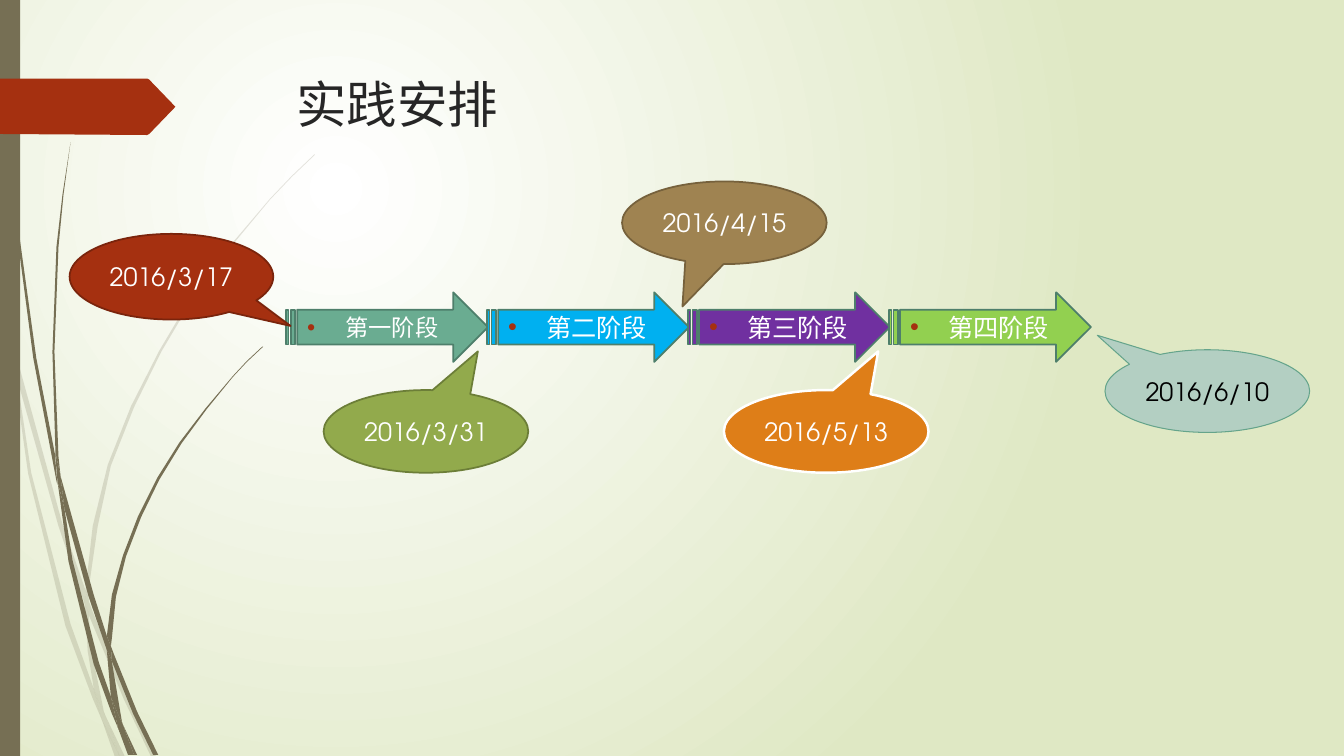
from lxml import etree
from pptx import Presentation
from pptx.dml.color import RGBColor
from pptx.enum.shapes import MSO_SHAPE
from pptx.enum.text import MSO_ANCHOR, MSO_AUTO_SIZE, PP_ALIGN
from pptx.oxml.ns import qn
from pptx.util import Inches, Pt

RECTANGLE = MSO_SHAPE.RECTANGLE
STRIPED_ARROW = MSO_SHAPE.STRIPED_RIGHT_ARROW
CALLOUT = MSO_SHAPE.OVAL_CALLOUT
TOP, MIDDLE = MSO_ANCHOR.TOP, MSO_ANCHOR.MIDDLE
LEFT, CENTER = PP_ALIGN.LEFT, PP_ALIGN.CENTER
NO_FIT = MSO_AUTO_SIZE.NONE
FONT = "TeX Gyre Adventor"

COLORS = {
    "white": "FFFFFF", "black": "000000", "title": "262626",
    "backdrop": "DFE8C4", "stem": "766F54", "red": "A53010",
    "teal": "6AAC91", "teal_edge": "4E7F6B", "blue": "00B0F0",
    "purple": "7030A0", "lime": "92D050", "red_edge": "7A240C",
    "olive": "92AA4C", "olive_edge": "6C7E38", "tan": "9F8351",
    "tan_edge": "76613C", "orange": "DE7E18", "mist": "B3CFC2",
    "mist_edge": "65A48B",
}

PALE_STEMS = [
    [(.11, 3.5), (.09, 3.22), (0, 2.82), (0, 2.99), (.1, 3.44)],
    [(.58, 5.22), (.84, 5.99), (.85, 5.86), (.62, 5.2), (.14, 3.45), (.17, 3.76)],
    [(.92, 6.07), (.88, 5.96), (.88, 6.1), (1.23, 6.94), (1.5, 7.51), (1.55, 7.51),
     (1.27, 6.92)],
    [(1.19, 7.51), (1.24, 7.51), (1.05, 7.11)],
    [(.93, 6.83), (.7, 6.19), (.31, 4.69), (.17, 3.76), (.11, 3.5), (.28, 4.7),
     (.65, 6.21), (.92, 6.93), (1.01, 7.14), (.99, 7.07)],
    [(.84, 5.99), (.87, 6.46), (.93, 6.83), (.96, 6.92), (1.05, 7.11), (1.03, 7.06),
     (.91, 6.46), (.88, 6.1), (.88, 6.08)],
    [(.88, 5.84), (.97, 5.22), (1.1, 4.62), (1.33, 4.04), (1.6, 3.49), (1.92, 2.95),
     (2.29, 2.45), (2.68, 1.98), (2.9, 1.75), (3.12, 1.54), (3.12, 1.53), (2.89, 1.75),
     (2.68, 1.97), (2.28, 2.44), (1.9, 2.94), (1.58, 3.48), (1.3, 4.03), (1.07, 4.61),
     (.92, 5.22), (.85, 5.84), (.85, 5.86), (.88, 5.96)],
    [(1.01, 7.14), (1.14, 7.51), (1.19, 7.51)],
    [(.88, 6.08), (.88, 6.1), (.88, 5.96), (.85, 5.86), (.84, 5.99)],
    [(.96, 6.92), (.93, 6.83), (.99, 7.07), (1.01, 7.14), (1.19, 7.51), (1.05, 7.11)],
]
DARK_STEMS = [
    [(.07, 1.1), (.17, 2.33), (.33, 3.55), (.56, 4.77), (.57, 4.81), (.55, 4.57),
     (.55, 4.53), (.36, 3.55), (.19, 2.32), (.08, 1.09), (.05, .48), (.04, 0),
     (.03, 0), (.04, .48)],
    [(.88, 5.92), (1.06, 6.45), (1.06, 6.33), (1.06, 6.31), (.93, 5.9), (.6, 4.72),
     (.64, 5.05)],
    [(1.13, 6.49), (1.1, 6.41), (1.11, 6.56), (1.32, 7.08), (1.52, 7.49), (1.57, 7.49),
     (1.36, 7.06)],
    [(1.1, 6.91), (.98, 6.57), (.72, 5.56), (.64, 5.05), (.57, 4.77), (.68, 5.57),
     (.93, 6.59), (1.11, 7.08), (1.17, 7.22), (1.16, 7.17)],
    [(.6, 4.72), (.58, 4.53), (.54, 3.49), (.58, 2.45), (.63, 1.93), (.7, 1.41),
     (.62, 1.93), (.56, 2.45), (.52, 3.49), (.55, 4.49)],
    [(1.33, 7.49), (1.36, 7.49), (1.22, 7.19)],
    [(.57, 4.77), (.64, 5.05), (.6, 4.72), (.55, 4.49), (.55, 4.53)],
    [(1.11, 6.33), (1.15, 5.92), (1.25, 5.52), (1.4, 5.13), (1.58, 4.76), (1.8, 4.4),
     (2.05, 4.06), (2.31, 3.74), (2.45, 3.59), (2.61, 3.44), (2.6, 3.44), (2.45, 3.58),
     (2.31, 3.73), (2.04, 4.05), (1.78, 4.39), (1.56, 4.74), (1.37, 5.12), (1.22, 5.51),
     (1.11, 5.9), (1.06, 6.31), (1.1, 6.41)],
    [(1.17, 7.22), (1.27, 7.49), (1.31, 7.49)],
    [(1.06, 6.45), (1.1, 6.91), (1.16, 7.06), (1.22, 7.19), (1.21, 7.16), (1.11, 6.56),
     (1.09, 6.51)],
    [(1.06, 6.45), (1.09, 6.51), (1.11, 6.56), (1.1, 6.41), (1.06, 6.31), (1.06, 6.33)],
    [(1.16, 7.06), (1.1, 6.91), (1.16, 7.17), (1.17, 7.22), (1.3, 7.49), (1.33, 7.49),
     (1.22, 7.19)],
]
RIBBON = [(0, 0), (1.46, 0), (1.48, .01), (1.74, .28), (1.48, .55), (1.46, .56), (0, .55)]

STAGES = [("第一阶段", "teal", 16.6), ("第二阶段", "blue", 18),
          ("第三阶段", "purple", 18), ("第四阶段", "lime", 18)]
DATES = [
    ("2016/3/17", (.69, 2.32, 2.02, .85), (.585, .575), "red", "red_edge", 1.25, "white"),
    ("2016/3/31", (3.21, 3.87, 2.03, .82), (.254, -.969), "olive", "olive_edge", 1.25, "white"),
    ("2016/4/15", (6.17, 1.8, 2.03, .82), (-.205, 1.013), "tan", "tan_edge", 1.25, "white"),
    ("2016/5/13", (7.18, 3.87, 2.03, .82), (.254, -.969), "orange", "white", 1.75, "white"),
    ("2016/6/10", (10.96, 3.47, 2.03, .82), (-.538, -.676), "mist", "mist_edge", .75, "black"),
]


def color(name):
    return RGBColor.from_string(COLORS[name])


def apply_format(target, values):
    for name, value in values.items():
        setattr(target, name, value)


def place(shape, box):
    names = ("left", "top", "width", "height")
    apply_format(shape, {name: Inches(value) for name, value in zip(names, box)})


def paint(shape, fill, edge=None, weight=0):
    shape.fill.solid()
    shape.fill.fore_color.rgb = color(fill)
    if edge:
        shape.line.color.rgb = color(edge)
        shape.line.width = Pt(weight)
    else:
        shape.line.fill.background()


def write(shape, text, size, ink, frame_format, paragraph_format):
    apply_format(shape.text_frame, {"auto_size": NO_FIT, **frame_format})
    paragraph = shape.text_frame.paragraphs[0]
    apply_format(paragraph, paragraph_format)
    run = paragraph.add_run()
    run.text = text
    apply_format(run.font, {"name": FONT, "size": Pt(size)})
    run.font.color.rgb = color(ink)
    return paragraph


def add_outline(slide, box, points, fill, alpha=None):
    corners = [(Inches(box[0] + x), Inches(box[1] + y)) for x, y in points]
    builder = slide.shapes.build_freeform(*corners[0])
    builder.add_line_segments(corners[1:], close=True)
    shape = builder.convert_to_shape()
    shape.shadow.inherit = False
    paint(shape, fill)
    if alpha:
        tint = shape.element.spPr.find(qn("a:solidFill"))[0]
        etree.SubElement(tint, qn("a:alpha"), val=str(alpha * 1000))


def draw_background(slide):
    fill = slide.background.fill
    fill.gradient()
    for stop, position, name in zip(fill.gradient_stops, (0, 1), ("white", "backdrop")):
        stop.position = position
        stop.color.rgb = color(name)
    gradient = slide.element.find(".//" + qn("a:gradFill"))
    gradient.remove(gradient.find(qn("a:lin")))
    circle = etree.SubElement(gradient, qn("a:path"), attrib={"path": "circle"})
    etree.SubElement(circle, qn("a:fillToRect"), l="50000", t="50000", r="100000", b="100000")


def draw_side_decoration(slide, box):
    for stems, alpha in ((PALE_STEMS, 20), (DARK_STEMS, None)):
        for points in stems:
            add_outline(slide, box, points, "stem", alpha)
    bar = slide.shapes.add_shape(RECTANGLE, *map(Inches, (box[0], box[1], .2, box[3])))
    bar.shadow.inherit = False
    paint(bar, "stem")
    add_outline(slide, (box[0], box[1] + .78), RIBBON, "red")


def draw_title(slide, box):
    title = slide.shapes.title
    slide.shapes.element.append(title.element)
    place(title, box)
    write(title, "实践安排", 36, "title", {"vertical_anchor": TOP}, {"alignment": LEFT})


def draw_stages(slide, box):
    body = slide.placeholders[1]
    slide.shapes.element.append(body.element)
    width = 2
    pitch = (box[2] - width) / (len(STAGES) - 1)
    for index, (text, fill, size) in enumerate(STAGES):
        arrow_box = (box[0] + index * pitch, box[1], width, box[3])
        if index == 0:
            arrow = body
            place(arrow, arrow_box)
            geometry = etree.SubElement(arrow.element.spPr, qn("a:prstGeom"), prst="stripedRightArrow")
            etree.SubElement(geometry, qn("a:avLst"))
        else:
            arrow = slide.shapes.add_shape(STRIPED_ARROW, *map(Inches, arrow_box))
            arrow.shadow.inherit = False
        paint(arrow, fill, "teal_edge", 1.25)
        paragraph = write(arrow, text, size, "white", {"vertical_anchor": MIDDLE},
                          {"alignment": LEFT, "space_before": Pt(10)})
        properties = paragraph._p.get_or_add_pPr()
        properties.set("marL", str(Inches(.38)))
        properties.set("indent", str(-Inches(.38)))
        bullet_color = etree.SubElement(properties, qn("a:buClr"))
        etree.SubElement(bullet_color, qn("a:srgbClr"), val=COLORS["red"])
        etree.SubElement(properties, qn("a:buFont"), typeface="Arial")
        etree.SubElement(properties, qn("a:buChar"), char="•")


def draw_dates(slide, origin):
    for text, (left, top, width, height), tip, fill, edge, weight, ink in DATES:
        box = (origin[0] + left, origin[1] + top, width, height)
        callout = slide.shapes.add_shape(CALLOUT, *map(Inches, box))
        callout.shadow.inherit = False
        callout.adjustments[0], callout.adjustments[1] = tip
        paint(callout, fill, edge, weight)
        write(callout, text, 18, ink, {"vertical_anchor": MIDDLE, "word_wrap": False},
              {"alignment": CENTER})


def main():
    presentation = Presentation()
    apply_format(presentation, {"slide_width": Inches(13.33), "slide_height": Inches(7.5)})
    slide = presentation.slides.add_slide(presentation.slide_layouts[1])
    draw_background(slide)
    draw_side_decoration(slide, (0, 0, 3.12, 7.5))
    draw_title(slide, (2.84, .68, 9.75, 1.4))
    draw_stages(slide, (2.84, 2.9, 7.98, .69))
    draw_dates(slide, (0, 0))
    presentation.save("out.pptx")


if __name__ == "__main__":
    main()
